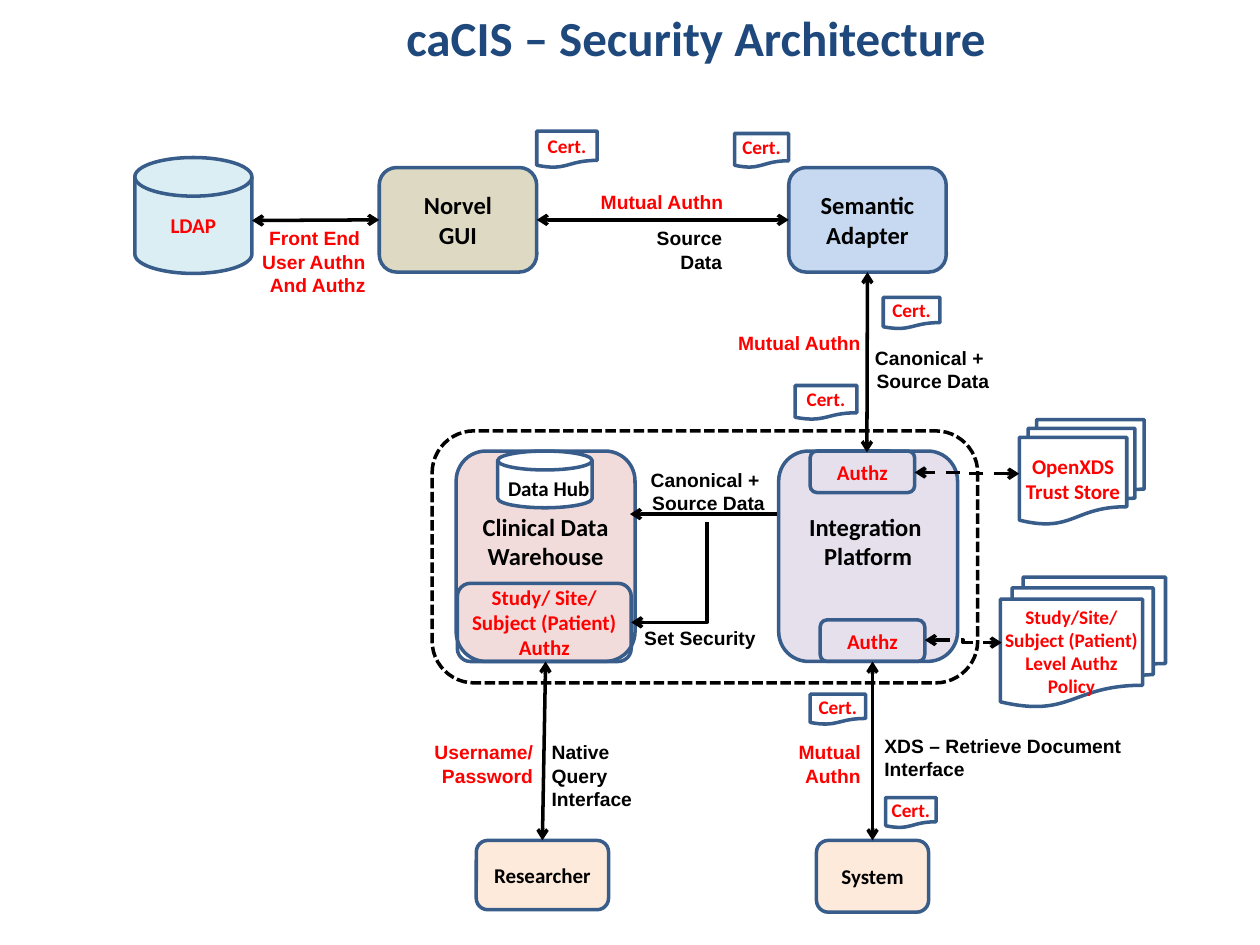
from dataclasses import dataclass
from typing import Optional

from lxml import etree
from pptx import Presentation
from pptx.dml.color import RGBColor
from pptx.enum import dml, shapes, text
from pptx.oxml import ns
from pptx.util import Inches, Pt

BLACK = RGBColor(0x00, 0x00, 0x00)
RED = RGBColor(0xFF, 0x00, 0x00)
WHITE = RGBColor(0xFF, 0xFF, 0xFF)
NAVY = RGBColor(0x1F, 0x49, 0x7D)
EDGE = RGBColor(0x38, 0x5D, 0x8A)
PINK = RGBColor(0xF2, 0xDC, 0xDB)
LILAC = RGBColor(0xE6, 0xE0, 0xEC)
SKY = RGBColor(0xC6, 0xD9, 0xF1)
TAN = RGBColor(0xDD, 0xD9, 0xC3)
PEACH = RGBColor(0xFD, 0xEA, 0xDA)
AQUA = RGBColor(0xDB, 0xEE, 0xF4)

ROUND = shapes.MSO_SHAPE.ROUNDED_RECTANGLE
DOC = shapes.MSO_SHAPE.FLOWCHART_DOCUMENT
DOCS = shapes.MSO_SHAPE.FLOWCHART_MULTIDOCUMENT
DISK = shapes.MSO_SHAPE.FLOWCHART_MAGNETIC_DISK
STRAIGHT = shapes.MSO_CONNECTOR.STRAIGHT
ELBOW = shapes.MSO_CONNECTOR.ELBOW
CENTER, LEFT, RIGHT = text.PP_ALIGN.CENTER, text.PP_ALIGN.LEFT, text.PP_ALIGN.RIGHT
TOP, MIDDLE = text.MSO_ANCHOR.TOP, text.MSO_ANCHOR.MIDDLE
TOP_SIDE, LEFT_SIDE, BOTTOM_SIDE, RIGHT_SIDE = range(4)


@dataclass
class Box:
    at: tuple  # left, top, width, height
    words: str = ""
    fill: Optional[RGBColor] = None
    size: float = 12
    color: RGBColor = BLACK
    kind: int = ROUND
    anchor: int = MIDDLE
    insets: tuple = (0, 0.05, 0, 0.05)  # left, top, right, bottom
    edge: RGBColor = EDGE
    dash: Optional[int] = None


@dataclass
class Label:
    at: tuple
    words: str
    color: RGBColor = BLACK
    align: int = RIGHT
    wrap: bool = False
    size: float = 11
    font: str = "Arial"
    anchor: int = TOP
    grow: bool = True


@dataclass
class Arrow:
    start: tuple
    end: tuple
    begin_join: Optional[tuple] = None  # box key, side
    end_join: Optional[tuple] = None
    kind: int = STRAIGHT
    preset: str = ""
    dash: Optional[int] = None
    heads: tuple = ("headEnd", "tailEnd")


def write(frame, words: str, insets: tuple, anchor: int, wrap: bool,
          align: int, font: str, size: float, color: RGBColor) -> None:
    sides = ("margin_left", "margin_top", "margin_right", "margin_bottom")
    layout = dict(zip(sides, map(Inches, insets)), vertical_anchor=anchor, word_wrap=wrap)
    for name, value in layout.items():
        setattr(frame, name, value)
    style = {"name": font, "size": Pt(size), "bold": True}
    for i, line in enumerate(words.split("\n")):
        paragraph = frame.paragraphs[0] if i == 0 else frame.add_paragraph()
        paragraph.alignment = align
        run = paragraph.add_run()
        run.text = line
        for name, value in style.items():
            setattr(run.font, name, value)
        run.font.color.rgb = color


def stroke(line, color: RGBColor, dash: Optional[int]) -> None:
    line.color.rgb = color
    line.width = Pt(2)
    if dash is not None:
        line.dash_style = dash


def draw_box(slide, box: Box):
    shape = slide.shapes.add_shape(box.kind, *map(Inches, box.at))
    shape.shadow.inherit = False
    if box.fill is None:
        shape.fill.background()
    else:
        shape.fill.solid()
        shape.fill.fore_color.rgb = box.fill
    stroke(shape.line, box.edge, box.dash)
    if box.words:
        write(shape.text_frame, box.words, box.insets, box.anchor, True,
              CENTER, "Calibri", box.size, box.color)
    return shape


def draw_label(slide, label: Label) -> None:
    frame = slide.shapes.add_textbox(*map(Inches, label.at)).text_frame
    write(frame, label.words, (0.1, 0.05, 0.1, 0.05), label.anchor, label.wrap,
          label.align, label.font, label.size, label.color)
    if label.grow:
        frame.auto_size = text.MSO_AUTO_SIZE.SHAPE_TO_FIT_TEXT


def draw_arrow(slide, arrow: Arrow, drawn: dict) -> None:
    link = slide.shapes.add_connector(arrow.kind, *map(Inches, arrow.start + arrow.end))
    if arrow.begin_join:
        link.begin_connect(drawn[arrow.begin_join[0]], arrow.begin_join[1])
    if arrow.end_join:
        link.end_connect(drawn[arrow.end_join[0]], arrow.end_join[1])
    stroke(link.line, BLACK, arrow.dash)
    properties = link._element.spPr
    if arrow.preset:
        properties.find(ns.qn("a:prstGeom")).set("prst", arrow.preset)
    outline = properties.find(ns.qn("a:ln"))
    for head in arrow.heads:
        etree.SubElement(outline, ns.qn(f"a:{head}"), type="arrow")
    etree.SubElement(properties, ns.qn("a:effectLst"))


# Boxes, back to front
WIDE = (0.1, 0.05, 0.1, 0.05)
RAISED = (0, 0.05, 0, 0.29)
BOXES = {
    "warehouse": Box((3.62, 3.58, 1.42, 1.67), "Clinical Data Warehouse", PINK, 14, insets=RAISED),
    "boundary": Box((3.43, 3.42, 4.33, 2), edge=BLACK, dash=dml.MSO_LINE.SQUARE_DOT),
    "adapter": Box((6.26, 1.33, 1.25, 0.83), "Semantic Adapter", SKY, 14, insets=WIDE),
    "platform": Box((6.18, 3.58, 1.42, 1.67), "Integration \nPlatform", LILAC, 14, insets=RAISED),
    "system": Box((6.48, 6.67, 0.89, 0.57), "System", PEACH, insets=WIDE),
    "gui": Box((3.01, 1.33, 1.25, 0.83), "Norvel\nGUI", TAN, 14),
    "policy": Box((7.94, 4.58, 1.31, 1.03), "Study/Site/\nSubject (Patient)\nLevel Authz Policy",
                  size=11, color=RED, kind=DOCS, anchor=TOP),
    "upper authz": Box((6.43, 3.58, 0.83, 0.33), "Authz", color=RED),
    "lower authz": Box((6.51, 4.92, 0.83, 0.33), "Authz", color=RED),
    "study authz": Box((3.63, 4.63, 1.38, 0.62), "Study/ Site/ Subject (Patient)\nAuthz", color=RED),
    "ldap": Box((1.07, 1.25, 0.93, 0.92), "LDAP", AQUA, color=RED, kind=DISK, insets=WIDE),
    "database": Box((3.95, 3.58, 0.75, 0.45), "Data Hub", WHITE, kind=DISK,
                    insets=(0.06, 0.11, 0, 0.05)),
    "researcher": Box((3.78, 6.67, 1.05, 0.55), "Researcher", PEACH, insets=WIDE),
    "trust store": Box((8.09, 3.33, 0.99, 0.83), "OpenXDS\nTrust Store", color=RED, kind=DOCS),
}
CERTIFICATES = [
    (5.83, 1.06, 0.43, 0.27), (4.26, 1.04, 0.48, 0.29), (7.01, 2.36, 0.45, 0.25),
    (6.31, 3.06, 0.49, 0.27), (6.43, 5.51, 0.44, 0.24), (7.03, 6.33, 0.4, 0.24),
]

# Flows between the boxes
DASH = dml.MSO_LINE.DASH
ARROWS = [
    Arrow((4.26, 1.75), (6.26, 1.75), ("gui", RIGHT_SIDE), ("adapter", LEFT_SIDE)),
    Arrow((3.01, 1.75), (2, 1.75), ("gui", LEFT_SIDE)),
    Arrow((6.89, 2.17), (6.88, 3.59), ("adapter", BOTTOM_SIDE)),
    Arrow((6.93, 5.25), (6.92, 6.67), ("lower authz", BOTTOM_SIDE), ("system", TOP_SIDE)),
    Arrow((4.33, 5.25), (4.31, 6.67), ("warehouse", BOTTOM_SIDE), ("researcher", TOP_SIDE)),
    Arrow((6.17, 4.08), (5, 4.08), heads=("tailEnd",)),
    Arrow((7.34, 5.08), (7.95, 5.1), kind=ELBOW, dash=DASH),
    Arrow((8.09, 3.76), (7.26, 3.75), kind=ELBOW, dash=DASH),
    Arrow((5.01, 4.94), (5.61, 4.14), kind=ELBOW, preset="bentConnector2", heads=("headEnd",)),
]

# Title and flow labels
LABELS = [
    Label((0.17, -0.25, 7.75, 1.08), "caCIS – Security Architecture", NAVY, wrap=True,
          size=28, font="Calibri", anchor=MIDDLE, grow=False),
    Label((1.98, 1.75, 1.02, 0.65), "Front End \nUser Authn\nAnd Authz", RED),
    Label((4.66, 1.46, 1.18, 0.29), "Mutual Authn", RED),
    Label((5.43, 2.58, 1.5, 0.29), "Mutual Authn", RED, wrap=True),
    Label((4.74, 1.75, 1.09, 0.29), "Source Data"),
    Label((6.92, 5.78, 2.08, 0.47), "XDS – Retrieve Document\nInterface", align=LEFT),
    Label((4.28, 5.83, 1.14, 0.47), "Native Query\nInterface", align=LEFT),
    Label((6.18, 5.83, 0.75, 0.47), "Mutual\nAuthn", RED, wrap=True),
    Label((5, 4.92, 1.14, 0.29), "Set Security ", wrap=True),
    Label((3.25, 5.83, 1.08, 0.47), "Username/\nPassword", RED, wrap=True),
    *(Label((left, top, 1.11, 0.47), "Canonical + \nSource Data")
      for left, top in ((5.06, 3.67), (6.84, 2.7))),
]


def main() -> None:
    deck = Presentation()
    deck.slide_width, deck.slide_height = Inches(10), Inches(7.5)
    slide = deck.slides.add_slide(deck.slide_layouts[6])
    drawn = {key: draw_box(slide, box) for key, box in BOXES.items()}
    for at in CERTIFICATES:
        draw_box(slide, Box(at, "Cert.", size=11, color=RED, kind=DOC))
    for arrow in ARROWS:
        draw_arrow(slide, arrow, drawn)
    for label in LABELS:
        draw_label(slide, label)
    deck.save("out.pptx")


if __name__ == "__main__":
    main()
